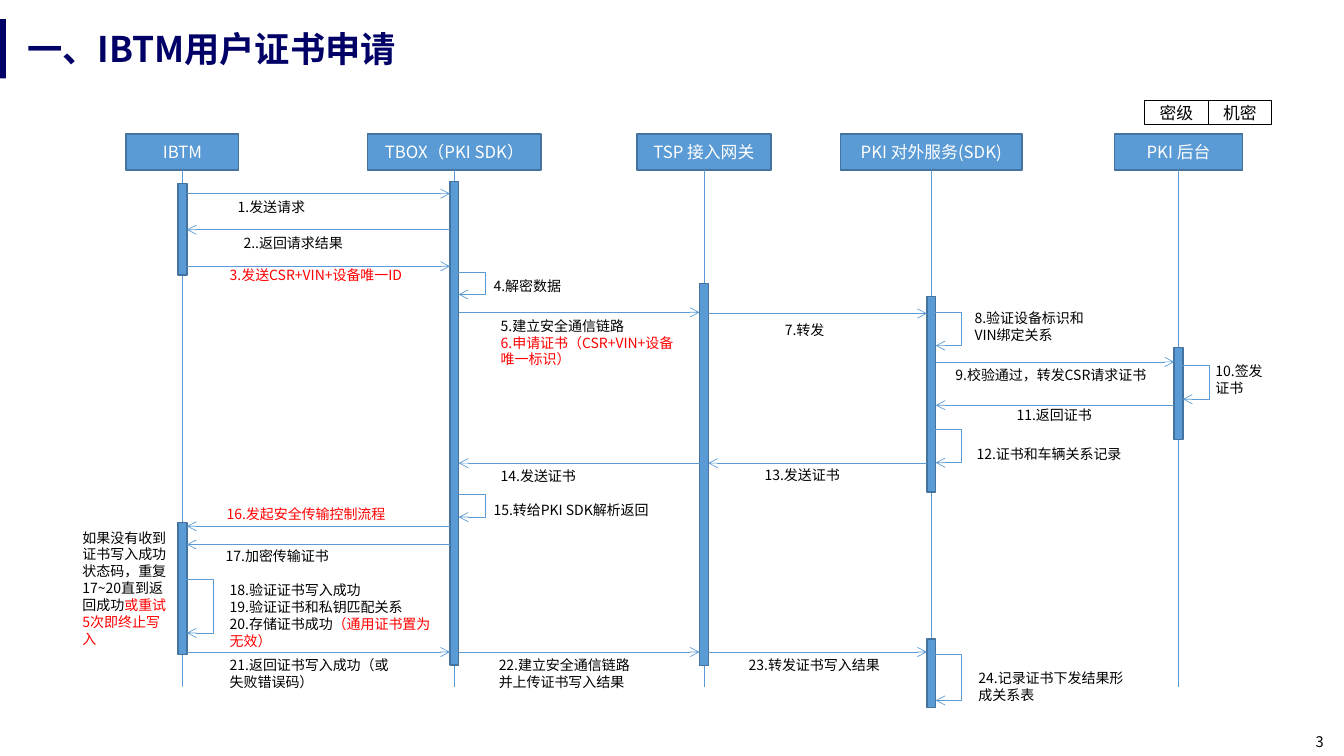
from dataclasses import dataclass

from lxml.etree import SubElement
from pptx import Presentation
from pptx.dml.color import RGBColor
from pptx.enum.shapes import MSO_CONNECTOR as Link, MSO_SHAPE as Shape
from pptx.enum.text import MSO_ANCHOR as Anchor, MSO_AUTO_SIZE as Fit, PP_ALIGN as Align
from pptx.oxml.ns import qn
from pptx.util import Cm, Pt


@dataclass(frozen=True)
class Theme:
    font: str = "Noto Sans CJK SC"
    navy: str = "000066"
    blue: str = "5B9BD5"
    edge: str = "43739E"
    black: str = "000000"
    white: str = "FFFFFF"
    red: str = "FF0000"
    title_size: float = 25.2
    head_size: float = 12
    label_size: float = 10
    number_size: float = 10.5
    hairline: float = 0.5


THEME = Theme()


def write(paragraph, text, size=THEME.label_size, color=THEME.black, bold=False, align=Align.LEFT):
    """Add one formatted run to a paragraph."""
    paragraph.alignment = align
    run = paragraph.add_run()
    run.text = text
    run.font.size = Pt(size)
    run.font.bold = bold
    run.font.color.rgb = RGBColor.from_string(color)
    run.font.name = THEME.font
    SubElement(run._r.get_or_add_rPr(), qn("a:ea")).set("typeface", THEME.font)


class SequenceSlide:
    BAR_WIDTH = 0.22
    LOOP_REACH = 0.77
    HEAD_TOP, HEAD_HEIGHT, LIFE_END = 3.38, 0.91, 17.3

    def __init__(self, deck, theme):
        self.theme = theme
        self.slide = deck.slides.add_slide(deck.slide_layouts[5])
        self.shapes = self.slide.shapes

    def title(self, text, left, top, width, height):
        heading = self.shapes.title
        heading.left, heading.top = Cm(left), Cm(top)
        heading.width, heading.height = Cm(width), Cm(height)
        frame = heading.text_frame
        frame.auto_size, frame.vertical_anchor = Fit.NONE, Anchor.MIDDLE
        write(frame.paragraphs[0], text, size=self.theme.title_size, color=self.theme.navy, bold=True)

    def box(self, left, top, width, height, fill, edge=None, edge_width=1.0):
        rect = self.shapes.add_shape(Shape.RECTANGLE, Cm(left), Cm(top), Cm(width), Cm(height))
        rect.shadow.inherit = False
        rect.fill.solid()
        rect.fill.fore_color.rgb = RGBColor.from_string(fill)
        if edge:
            rect.line.color.rgb = RGBColor.from_string(edge)
            rect.line.width = Pt(edge_width)
        else:
            rect.line.fill.background()
        return rect

    def caption(self, rect, text, color, margin=None):
        frame = rect.text_frame
        frame.vertical_anchor = Anchor.MIDDLE
        if margin is not None:
            frame.margin_left = frame.margin_right = Cm(margin)
            frame.margin_top = frame.margin_bottom = Cm(margin)
        write(frame.paragraphs[0], text, size=self.theme.head_size, color=color, align=Align.CENTER)

    def label(self, left, top, width, lines):
        """Each line is a list of (text, color) pieces."""
        note = self.shapes.add_textbox(Cm(left), Cm(top), Cm(width), Cm(0.25 + 0.43 * len(lines)))
        frame = note.text_frame
        frame.word_wrap, frame.auto_size = True, Fit.SHAPE_TO_FIT_TEXT
        for index, pieces in enumerate(lines):
            paragraph = frame.add_paragraph() if index else frame.paragraphs[0]
            for text, color in pieces:
                write(paragraph, text, color=color)

    def page_number(self, text, left, top, width, height):
        number = self.shapes.add_textbox(Cm(left), Cm(top), Cm(width), Cm(height))
        frame = number.text_frame
        frame.word_wrap, frame.vertical_anchor = True, Anchor.MIDDLE
        write(frame.paragraphs[0], text, size=self.theme.number_size, align=Align.RIGHT)

    def link(self, x1, y1, x2, y2, kind=Link.STRAIGHT, arrow=True):
        link = self.shapes.add_connector(kind, Cm(x1), Cm(y1), Cm(x2), Cm(y2))
        link.line.color.rgb = RGBColor.from_string(self.theme.blue)
        link.line.width = Pt(self.theme.hairline)
        if arrow:
            SubElement(link.line._get_or_add_ln(), qn("a:tailEnd")).set("type", "arrow")
        SubElement(link._element.spPr, qn("a:effectLst"))
        return link

    def participant(self, name, x, width):
        head = self.box(x - width / 2, self.HEAD_TOP, width, self.HEAD_HEIGHT,
                        self.theme.blue, self.theme.edge)
        self.caption(head, name, self.theme.white)
        lifeline = self.link(x, self.HEAD_TOP + self.HEAD_HEIGHT, x, self.LIFE_END, arrow=False)
        lifeline.begin_connect(head, 2)

    def activation(self, x, top, height):
        self.box(x - self.BAR_WIDTH / 2, top, self.BAR_WIDTH, height, self.theme.blue, self.theme.edge)

    def message(self, source, target, y):
        gap = self.BAR_WIDTH / 2 if target > source else -self.BAR_WIDTH / 2
        self.link(source + gap, y, target - gap, y)

    def self_call(self, x, top, bottom):
        half = self.BAR_WIDTH / 2
        loop = self.link(x, top, x + half, bottom, kind=Link.ELBOW)
        # The bend lies beyond the end point
        guides = loop._element.spPr.find(qn("a:prstGeom")).get_or_add_avLst()
        bend = SubElement(guides, qn("a:gd"))
        bend.set("name", "adj1")
        bend.set("fmla", f"val {round(self.LOOP_REACH / half * 100000)}")


# Lifeline positions
IBTM, TBOX, TSP, PKI, BACKEND = 4.6, 11.45, 17.74, 23.47, 29.7
K, R = THEME.black, THEME.red

PARTICIPANTS = [("IBTM", IBTM, 2.84), ("TBOX（PKI SDK）", TBOX, 4.37), ("TSP 接入网关", TSP, 3.38),
                ("PKI 对外服务(SDK)", PKI, 4.57), ("PKI 后台", BACKEND, 3.23)]
ACTIVATIONS = [(IBTM, 4.62, 2.31), (IBTM, 13.16, 3.33), (TBOX, 4.57, 12.19), (TSP, 7.14, 9.63),
               (PKI, 7.47, 4.93), (PKI, 16.1, 1.73), (BACKEND, 8.76, 2.31)]
MESSAGES = [(IBTM, TBOX, 4.88), (TBOX, IBTM, 5.79), (IBTM, TBOX, 6.71), (TBOX, TSP, 7.87),
            (TSP, PKI, 7.9), (PKI, BACKEND, 9.12), (BACKEND, PKI, 10.21), (PKI, TSP, 11.67),
            (TSP, TBOX, 11.67), (TBOX, IBTM, 13.26), (TBOX, IBTM, 13.72), (IBTM, TBOX, 16.43),
            (TBOX, TSP, 16.43), (TSP, PKI, 16.43)]
SELF_CALLS = [(TBOX, 6.86, 7.42), (PKI, 7.87, 8.71), (BACKEND, 9.22, 10.06), (PKI, 10.82, 11.66),
              (TBOX, 12.47, 13.03), (IBTM, 14.61, 15.95), (PKI, 16.48, 17.65)]
LABELS = [
    (5.74, 4.88, 3.76, [[("1.发送请求", K)]]),
    (5.89, 5.79, 3.4, [[("2..返回请求结果", K)]]),
    (5.54, 6.6, 4.85, [[("3.发送CSR+VIN+设备唯一ID", R)]]),
    (12.19, 6.86, 4.85, [[("4.解密数据", K)]]),
    (12.37, 7.87, 4.85, [[("5.建立安全通信链路", K)], [("6.申请证书（CSR+VIN+设备唯一标识）", R)]]),
    (19.53, 7.98, 2.97, [[("7.转发", K)]]),
    (24.31, 7.67, 3.68, [[("8.验证设备标识和VIN绑定关系", K)]]),
    (23.83, 9.12, 5.51, [[("9.校验通过，转发CSR请求证书", K)]]),
    (30.38, 9.02, 1.78, [[("10.签发", K)], [("证书", K)]]),
    (25.37, 10.13, 2.97, [[("11.返回证书", K)]]),
    (24.36, 11.1, 4.78, [[("12.证书和车辆关系记录", K)]]),
    (19.02, 11.63, 3.4, [[("13.发送证书", K)]]),
    (12.37, 11.66, 4.85, [[("14.发送证书", K)]]),
    (12.19, 12.52, 4.85, [[("15.转给PKI SDK解析返回", K)]]),
    (5.46, 12.62, 4.85, [[("16.发起安全传输控制流程", R)]]),
    (5.44, 13.67, 4.85, [[("17.加密传输证书", K)]]),
    (5.54, 14.53, 5.79, [[("18.验证证书写入成功", K)], [("19.验证证书和私钥匹配关系", K)],
                         [("20.存储证书成功", K), ("（通用证书置为无效）", R)]]),
    (5.54, 16.43, 4.85, [[("21.返回证书写入成功（或失败错误码）", K)]]),
    (12.32, 16.43, 4.85, [[("22.建立安全通信链路", K)], [("并上传证书写入结果", K)]]),
    (18.62, 16.43, 4.22, [[("23.转发证书写入结果", K)]]),
    (24.41, 16.74, 4.45, [[("24.记录证书下发结果形成关系表", K)]]),
    (1.83, 13.21, 2.67, [[("如果没有收到证书写入成功状态码，重复17~20直到返回成功", K),
                          ("或重试5次即终止写入", R)]]),
]


def main():
    deck = Presentation()
    deck.slide_width, deck.slide_height = Cm(33.87), Cm(19.05)
    page = SequenceSlide(deck, THEME)

    # Title, accent bar and secrecy mark
    page.box(0, 0.48, 0.15, 1.5, THEME.navy)
    page.title("一、IBTM用户证书申请", 0.43, 0.48, 25.53, 1.5)
    for column, mark in enumerate(["密级", "机密"]):
        cell = page.box(28.85 + 1.6 * column, 2.54, 1.6, 0.61, THEME.white, THEME.black, 0.75)
        page.caption(cell, mark, THEME.black, margin=0.03)

    # Sequence diagram
    for draw, rows in [(page.participant, PARTICIPANTS), (page.activation, ACTIVATIONS),
                       (page.message, MESSAGES), (page.self_call, SELF_CALLS), (page.label, LABELS)]:
        for row in rows:
            draw(*row)

    page.page_number("3", 31.83, 18.44, 1.78, 0.51)
    deck.save("out.pptx")


if __name__ == "__main__":
    main()
